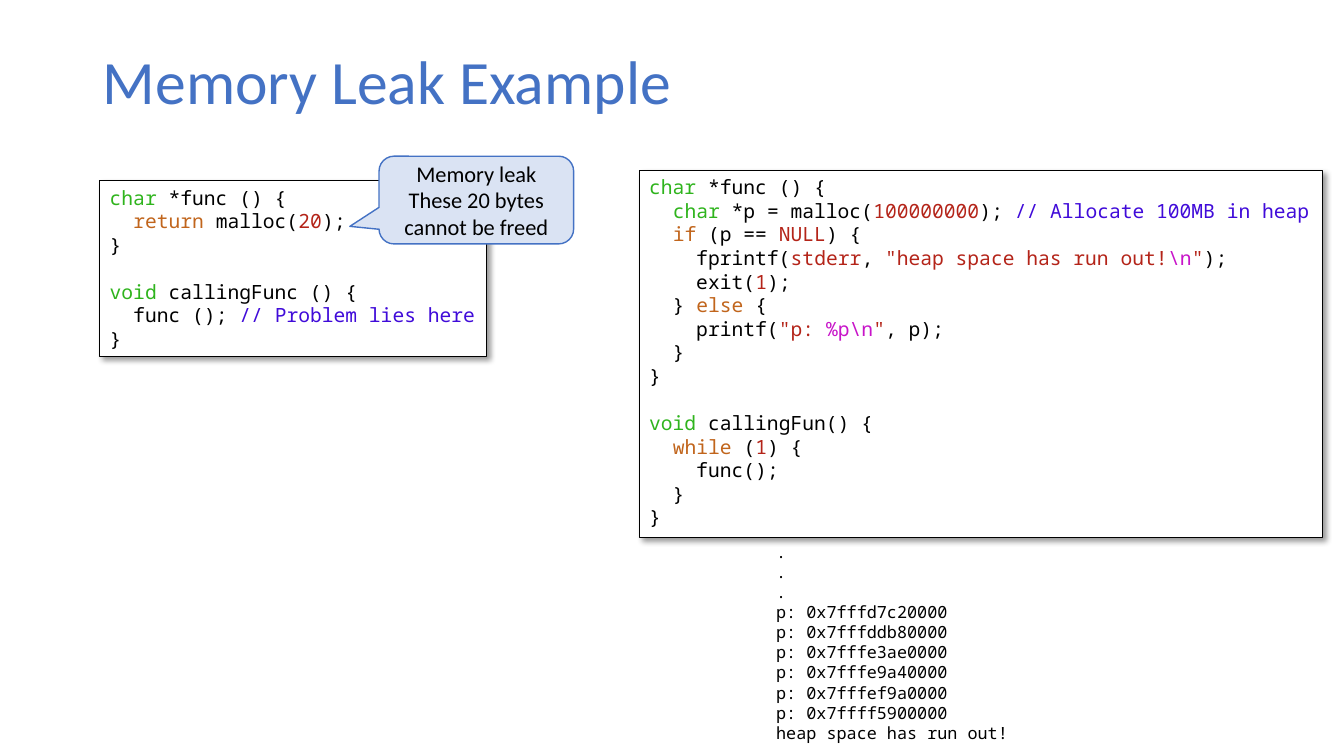
from lxml import etree
from pptx import Presentation
from pptx.dml.color import RGBColor
from pptx.enum.shapes import MSO_SHAPE
from pptx.enum.text import MSO_ANCHOR, MSO_AUTO_SIZE, PP_ALIGN
from pptx.oxml.ns import qn
from pptx.util import Emu, Pt

RECT = MSO_SHAPE.RECTANGLE
CALLOUT = MSO_SHAPE.ROUNDED_RECTANGULAR_CALLOUT
TOP, MIDDLE = MSO_ANCHOR.TOP, MSO_ANCHOR.MIDDLE
LEFT, CENTER = PP_ALIGN.LEFT, PP_ALIGN.CENTER
GROW = MSO_AUTO_SIZE.SHAPE_TO_FIT_TEXT

PX = 9144
TYPE, KEYWORD, VALUE = "2FB41D", "C1651C", "B42419"
COMMENT, ESCAPE, BLACK = "400BD9", "C814C9", "000000"

LEAK_CODE = [
    [("char", TYPE), " *func () {"],
    ["  ", ("return", KEYWORD), " malloc(", ("20", VALUE), "); "],
    ["}"],
    [],
    [("void ", TYPE), "callingFunc () {"],
    ["  func (); ", ("// Problem lies here", COMMENT)],
    ["}"],
]

HEAP_CODE = [
    [("char", TYPE), " *func () {"],
    ["  ", ("char", TYPE), " *p = malloc(", ("100000000", VALUE), "); ",
     ("// Allocate 100MB in heap", COMMENT)],
    ["  ", ("if", KEYWORD), " (p == ", ("NULL", VALUE), ") {"],
    ["    fprintf(", ("stderr", VALUE), ", ", ('"heap space has run out!', VALUE),
     ("\\n", ESCAPE), ('"', VALUE), ");"],
    ["    exit(", ("1", VALUE), ");"],
    ["  } ", ("else", KEYWORD), " {"],
    ["    printf(", ('"p: ', VALUE), ("%p\\n", ESCAPE), ('"', VALUE), ", p);"],
    ["  }"],
    ["}"],
    [],
    [("void ", TYPE), "callingFun() {"],
    ["  ", ("while", KEYWORD), " (", ("1", VALUE), ") {"],
    ["    func();"],
    ["  }"],
    ["}"],
]

ADDRESSES = ["0x7fffd7c20000", "0x7fffddb80000", "0x7fffe3ae0000",
             "0x7fffe9a40000", "0x7fffef9a0000", "0x7ffff5900000"]


def rgb(value):
    return RGBColor.from_string(value)


class SlideBuilder:
    body_font = "Calibri"
    code_font = "Noto Sans Mono"
    accent = "4472C4"
    pale = "DAE3F3"
    blank_line = 17

    def __init__(self, prs):
        self.s = prs.slides.add_slide(prs.slide_layouts[5])

    def box(self, *px):
        return [Emu(v * PX) for v in px]

    def add_lines(self, tf, lines, font, size, align=LEFT, color=BLACK):
        p, gap = None, False
        for line in lines:
            if not line:
                gap = True
                continue
            p = tf.add_paragraph() if p is not None else tf.paragraphs[0]
            p.alignment = align
            if gap:
                p.space_before = Pt(self.blank_line)
                gap = False
            for part in line:
                text, run_color = (part, color) if isinstance(part, str) else part
                r = p.add_run()
                r.text = text
                r.font.name = font
                r.font.size = Pt(size)
                r.font.color.rgb = rgb(run_color)

    def title(self, text, *px):
        sp = self.s.shapes.title
        sp.left, sp.top, sp.width, sp.height = self.box(*px)
        tf = sp.text_frame
        tf.vertical_anchor = MIDDLE
        self.add_lines(tf, [[text]], self.body_font, 44, color=self.accent)
        tf.paragraphs[0].line_spacing = 0.9

    def shape(self, kind, px, fill, line, width):
        sp = self.s.shapes.add_shape(kind, *self.box(*px))
        sp.fill.solid()
        sp.fill.fore_color.rgb = rgb(fill)
        sp.line.color.rgb = rgb(line)
        sp.line.width = Pt(width)
        sp.shadow.inherit = False
        return sp

    def cast_shadow(self, sp):
        effects = sp._element.spPr.find(qn("a:effectLst"))
        shadow = etree.SubElement(effects, qn("a:outerShdw"), blurRad=str(Pt(4)),
                                  dist=str(Pt(3)), dir="2700000", algn="tl", rotWithShape="0")
        color = etree.SubElement(shadow, qn("a:srgbClr"), val=BLACK)
        etree.SubElement(color, qn("a:alpha"), val="40000")

    def code(self, lines, *px):
        sp = self.shape(RECT, px, "FFFFFF", BLACK, 0.75)
        self.cast_shadow(sp)
        tf = sp.text_frame
        tf.word_wrap = False
        tf.auto_size = GROW
        tf.vertical_anchor = TOP
        self.add_lines(tf, lines, self.code_font, 14)

    def callout(self, lines, adjustments, *px):
        sp = self.shape(CALLOUT, px, self.pale, self.accent, 1)
        for i, value in enumerate(adjustments):
            sp.adjustments[i] = value
        tf = sp.text_frame
        tf.word_wrap = True
        tf.vertical_anchor = MIDDLE
        self.add_lines(tf, lines, self.body_font, 16, CENTER)

    def output(self, lines, *px):
        tf = self.s.shapes.add_textbox(*self.box(*px)).text_frame
        tf.word_wrap = False
        tf.auto_size = GROW
        self.add_lines(tf, lines, self.code_font, 12)


def main():
    prs = Presentation()
    prs.slide_width, prs.slide_height = Emu(1333 * PX), Emu(750 * PX)
    b = SlideBuilder(prs)
    b.title("Memory Leak Example", 92, 40, 1150, 87)
    b.code(LEAK_CODE, 99, 179, 384, 175)
    b.code(HEAP_CODE, 634, 169, 678, 364)
    b.callout([["Memory leak"], ["These 20 bytes cannot be freed"]],
              (-0.65, 0.3, 0.17), 376, 155, 193, 87)
    printed = [["."]] * 3 + [["p: " + a] for a in ADDRESSES] + [["heap space has run out!"]]
    b.output(printed, 760, 532, 254, 212)
    prs.save("out.pptx")


if __name__ == "__main__":
    main()
